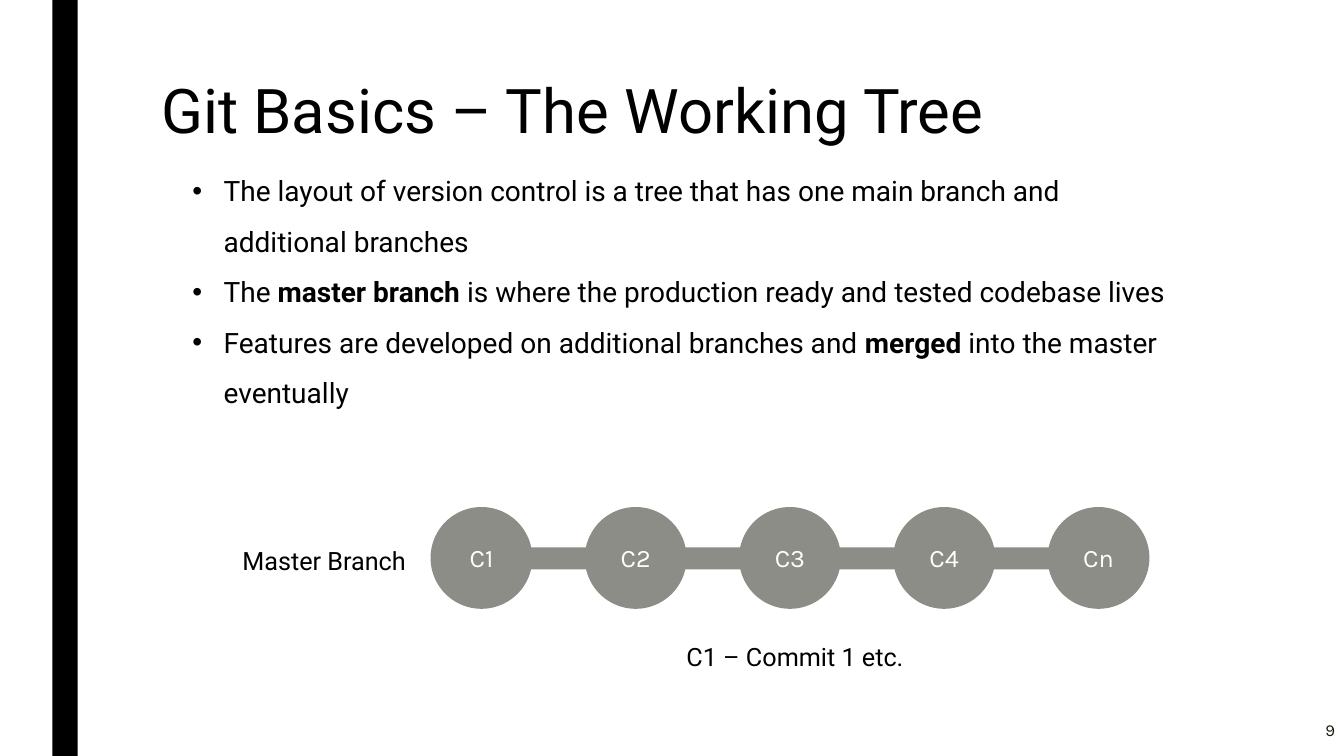
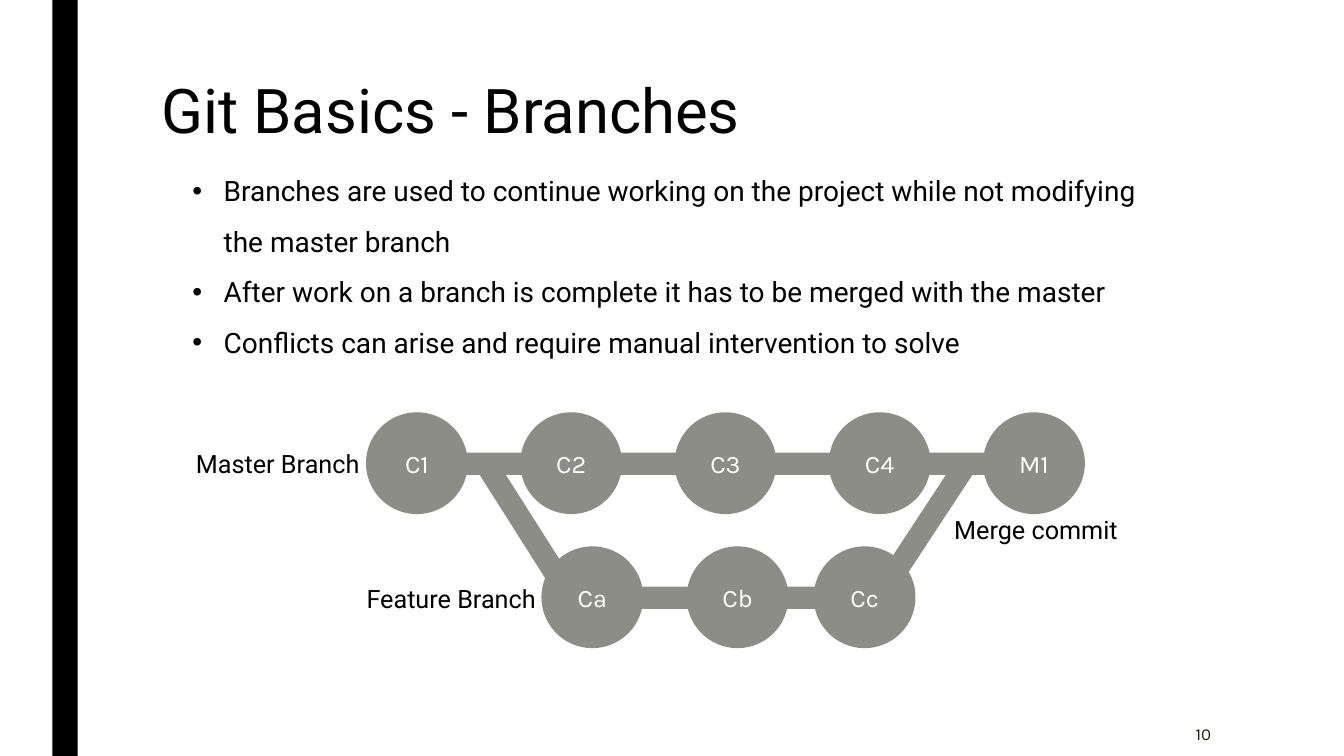
from dataclasses import dataclass

import lxml.etree
import pptx
import pptx.dml.color
import pptx.enum.shapes
import pptx.enum.text
import pptx.oxml.ns
import pptx.util

PX = 9144  # EMU in one px, 100 px to the inch
SHAPE = pptx.enum.shapes.MSO_SHAPE
ALIGN = pptx.enum.text.PP_ALIGN
ANCHOR = pptx.enum.text.MSO_ANCHOR


@dataclass(frozen=True)
class Theme:
    band: str = "000000"
    text: str = "000000"
    commit: str = "8C8D86"
    commit_text: str = "FFFFFF"
    page_text: str = "191B0E"
    body_font: str = "Roboto"
    accent_font: str = "Karla"
    title_size: int = 44
    bullet_size: int = 20
    label_size: int = 18
    page_size: int = 12


class Deck:
    NODE = 101
    LINK = 22
    STEP = 153

    def __init__(self, theme):
        self.theme = theme
        self.prs = pptx.Presentation()
        self.prs.slide_width = 1333 * PX
        self.prs.slide_height = 750 * PX

    def new_slide(self, title, page, page_left, page_top):
        theme = self.theme
        self.slide = self.prs.slides.add_slide(self.prs.slide_layouts[6])
        self.block(SHAPE.RECTANGLE, 52, 0, 25, 750, theme.band)
        heading = self.text(title, 150, 75, 1050, 162, theme.title_size)
        heading.paragraphs[0].line_spacing = 0.89
        number = self.text(str(page), page_left, page_top, 175, 44,
                           theme.page_size, ALIGN.RIGHT,
                           theme.accent_font, theme.page_text)
        number.vertical_anchor = ANCHOR.MIDDLE

    def style(self, paragraph, size, font, color):
        for run in paragraph.runs:
            run.font.size = pptx.util.Pt(size)
            run.font.name = font
            run.font.color.rgb = pptx.dml.color.RGBColor.from_string(color)

    def block(self, kind, left, top, width, height, color):
        shape = self.slide.shapes.add_shape(
            kind, left * PX, top * PX, width * PX, height * PX)
        shape.shadow.inherit = False
        shape.fill.solid()
        shape.fill.fore_color.rgb = pptx.dml.color.RGBColor.from_string(color)
        shape.line.fill.background()
        return shape

    def frame(self, left, top, width, height):
        box = self.slide.shapes.add_textbox(
            left * PX, top * PX, width * PX, height * PX)
        box.text_frame.word_wrap = True
        return box.text_frame

    def text(self, content, left, top, width, height, size,
             align=ALIGN.LEFT, font=None, color=None):
        frame = self.frame(left, top, width, height)
        frame.text = content
        paragraph = frame.paragraphs[0]
        paragraph.alignment = align
        self.style(paragraph, size, font or self.theme.body_font,
                   color or self.theme.text)
        return frame

    def label(self, content, left, top, width=441, align=ALIGN.CENTER):
        self.text(content, left, top, width, 40, self.theme.label_size, align)

    def bullets(self, items, width, height):
        """Write a bullet list; text between ** marks is bold."""
        frame = self.frame(181, 151, width, height)
        for index, item in enumerate(items):
            paragraph = frame.add_paragraph() if index else frame.paragraphs[0]
            props = paragraph._p.get_or_add_pPr()
            props.set("marL", str(31 * PX))
            props.set("indent", str(-31 * PX))
            for tag, key, value in (("a:buFont", "typeface", "Arial"),
                                    ("a:buChar", "char", "•")):
                lxml.etree.SubElement(
                    props, pptx.oxml.ns.qn(tag)).set(key, value)
            paragraph.line_spacing = 1.5
            for part, content in enumerate(item.split("**")):
                run = paragraph.add_run()
                run.text = content
                run.font.bold = part % 2 == 1
            self.style(paragraph, self.theme.bullet_size,
                       self.theme.body_font, self.theme.text)

    def link(self, left, top, length, angle=0):
        bar = self.block(SHAPE.RECTANGLE, left, top, length, self.LINK,
                         self.theme.commit)
        bar.rotation = angle

    def commits(self, names, lefts, top):
        """Draw a row of commits, each linked to the next one."""
        overlap = 20
        for left, following in zip(lefts, lefts[1:]):
            start = left + self.NODE - overlap
            self.link(start, top + 40, following + overlap - start)
        for name, left in zip(names, lefts):
            node = self.block(SHAPE.OVAL, left, top, self.NODE, self.NODE,
                              self.theme.commit)
            node.text_frame.text = name
            node.text_frame.vertical_anchor = ANCHOR.MIDDLE
            paragraph = node.text_frame.paragraphs[0]
            paragraph.alignment = ALIGN.CENTER
            self.style(paragraph, self.theme.label_size,
                       self.theme.accent_font, self.theme.commit_text)

    def master_branch(self, names, left, top):
        lefts = [left + self.STEP * index for index in range(len(names))]
        self.commits(names, lefts, top)


def working_tree(deck):
    deck.new_slide("Git Basics – The Working Tree", 9, 1159, 702)
    deck.bullets([
        "The layout of version control is a tree that has one main branch "
        "and additional branches",
        "The **master branch **is where the production ready and tested "
        "codebase lives",
        "Features are developed on additional branches and **merged** into "
        "the master eventually",
    ], 1002, 257)
    deck.master_branch(["C1", "C2", "C3", "C4", "Cn"], 427, 503)
    deck.label("Master Branch", 101, 536)
    deck.label("C1 – Commit 1 etc.", 671, 631, 395, ALIGN.LEFT)


def branches(deck):
    deck.new_slide("Git Basics - Branches", 10, 1036, 706)
    deck.bullets([
        "Branches are used to continue working on the project while not "
        "modifying the master branch",
        "After work on a branch is complete it has to be merged with the "
        "master",
        "Conflicts can arise and require manual intervention to solve",
    ], 969, 207)
    deck.link(452, 511, 138, 57.6)
    deck.link(850, 507, 141, 123.3)
    deck.master_branch(["C1", "C2", "C3", "C4", "M1"], 363, 409)
    deck.commits(["Ca", "Cb", "Cc"], [537, 681, 807], 542)
    deck.label("Master Branch", 55, 440)
    deck.label("Feature Branch", 227, 574)
    deck.label("Merge commit", 807, 505)


def main():
    deck = Deck(Theme())
    working_tree(deck)
    branches(deck)
    deck.prs.save("out.pptx")


if __name__ == "__main__":
    main()
